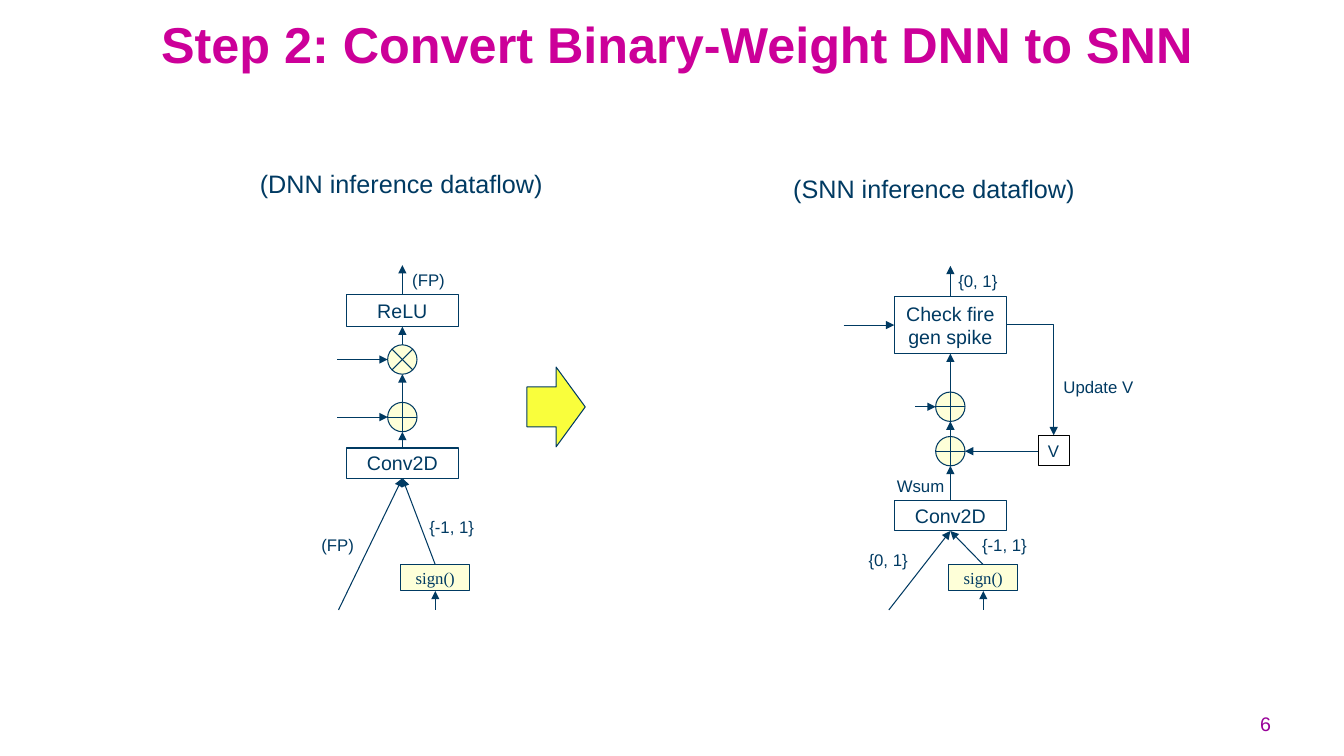
from lxml import etree
from pptx import Presentation
from pptx.dml.color import RGBColor
from pptx.enum.shapes import MSO_CONNECTOR, MSO_SHAPE
from pptx.enum.text import MSO_ANCHOR, MSO_AUTO_SIZE, PP_ALIGN
from pptx.oxml.ns import qn
from pptx.util import Cm, Pt

NAVY, WHITE, CREAM, YELLOW, BLACK = "003A62", "FFFFFF", "FEFFD8", "F9FE3C", "000000"
MAGENTA, PURPLE = "CC0099", "990099"

BLOCK_W, CONV_H = 2.83, 0.76
NODE_D = 0.74
SIGN_W, SIGN_H, SIGN_TOP, SIGN_OFFSET = 1.74, 0.66, 14.23, 0.83
INPUT_Y = 15.37


def color(hex_code):
    return RGBColor.from_string(hex_code)


def apply(target, formats):
    for name, value in formats.items():
        setattr(target, name, value)


def write(shape, text, size, font="Arial", ink=NAVY, bold=False, paragraph_format=None, **frame_format):
    frame = shape.text_frame
    apply(frame, frame_format)
    paragraph = frame.paragraphs[0]
    apply(paragraph, paragraph_format or {})
    run = paragraph.add_run()
    run.text = text
    apply(run.font, {"name": font, "size": Pt(size), "bold": bold})
    run.font.color.rgb = color(ink)


def outline(shape, ink=NAVY):
    shape.line.color.rgb = color(ink)
    shape.line.width = Pt(0.75)


def add_text(slide, box, text, size, **formats):
    textbox = slide.shapes.add_textbox(*map(Cm, box))
    write(textbox, text, size, **formats)
    return textbox


def add_label(slide, left, top, width, text, size=12, height=0.76):
    return add_text(slide, (left, top, width, height), text, size,
                    word_wrap=False, auto_size=MSO_AUTO_SIZE.SHAPE_TO_FIT_TEXT)


def add_symbol(slide, preset, box, fill):
    symbol = slide.shapes.add_shape(preset, *map(Cm, box))
    symbol.shadow.inherit = False
    symbol.fill.solid()
    symbol.fill.fore_color.rgb = color(fill)
    outline(symbol)
    return symbol


def add_block(slide, axis, top, width, height, text, size=14, font="Arial", fill=WHITE):
    """Draw a labelled rectangle centred on a vertical axis."""
    block = add_symbol(slide, MSO_SHAPE.RECTANGLE, (axis - width / 2, top, width, height), fill)
    write(block, text, size, font, paragraph_format={"alignment": PP_ALIGN.CENTER},
          word_wrap=True, vertical_anchor=MSO_ANCHOR.MIDDLE,
          margin_left=Cm(0.1), margin_right=Cm(0.1), margin_top=0, margin_bottom=0)


def add_node(slide, preset, axis, top):
    add_symbol(slide, preset, (axis - NODE_D / 2, top, NODE_D, NODE_D), CREAM)


def add_arrow(slide, x1, y1, x2, y2, kind=MSO_CONNECTOR.STRAIGHT):
    arrow = slide.shapes.add_connector(kind, *map(Cm, (x1, y1, x2, y2)))
    outline(arrow)
    properties = arrow.element.spPr
    etree.SubElement(properties.find(qn("a:ln")), qn("a:tailEnd"), type="triangle")
    etree.SubElement(properties, qn("a:effectLst"))
    return arrow


def add_corner_arrow(slide, x1, y1, x2, y2):
    """Draw an arrow that runs across and then turns down once."""
    arrow = add_arrow(slide, x1, y1, x2, y2, MSO_CONNECTOR.ELBOW)
    arrow.element.spPr.find(qn("a:prstGeom")).set("prst", "bentConnector2")


def add_rising_arrows(slide, axis, spans):
    for start, end in spans:
        add_arrow(slide, axis, start, axis, end)


def add_conv_stage(slide, axis, conv_top, activation_x):
    """Draw Conv2D with its activation input and its binarised weights."""
    conv_bottom = conv_top + CONV_H
    sign_axis = axis + SIGN_OFFSET
    add_arrow(slide, activation_x, INPUT_Y, axis, conv_bottom)
    add_arrow(slide, sign_axis, SIGN_TOP, axis, conv_bottom)
    add_arrow(slide, sign_axis, INPUT_Y, sign_axis, SIGN_TOP + SIGN_H)
    add_block(slide, axis, conv_top, BLOCK_W, CONV_H, "Conv2D")
    add_block(slide, sign_axis, SIGN_TOP, SIGN_W, SIGN_H, "sign()", 12, "Times New Roman", CREAM)


def add_dnn_dataflow(slide):
    axis, conv_top, bias_top, scale_top = 10.14, 11.29, 10.14, 8.69
    relu_top, relu_h = 7.41, 0.82
    node_left = axis - NODE_D / 2

    add_label(slide, 6.3, 4.11, 7.7, "(DNN inference dataflow)", 18, 1.02)
    add_conv_stage(slide, axis, conv_top, 8.53)
    add_rising_arrows(slide, axis, [
        (conv_top, bias_top + NODE_D), (bias_top, scale_top + NODE_D),
        (scale_top, relu_top + relu_h), (relu_top, 6.68)])
    add_block(slide, axis, relu_top, BLOCK_W, relu_h, "ReLU")
    for preset, top in ((MSO_SHAPE.FLOWCHART_SUMMING_JUNCTION, scale_top),
                        (MSO_SHAPE.FLOWCHART_OR, bias_top)):
        add_node(slide, preset, axis, top)
        add_arrow(slide, 8.5, top + NODE_D / 2, node_left, top + NODE_D / 2)
    for left, top, width, text in ((10.57, 12.9, 1.65, "{-1, 1}"),
                                   (7.85, 13.36, 1.35, "(FP)"),
                                   (10.14, 6.68, 1.35, "(FP)")):
        add_label(slide, left, top, width, text)


def add_snn_dataflow(slide):
    axis, conv_top, potential_top, bias_top = 23.95, 12.62, 11, 9.88
    fire_top, fire_h = 7.47, 1.44
    fire_left, fire_right = axis - BLOCK_W / 2, axis + BLOCK_W / 2
    fire_y = fire_top + fire_h / 2
    potential_y, bias_y = potential_top + NODE_D / 2, bias_top + NODE_D / 2
    v_left, v_top, v_w = 26.16, 10.97, 0.79

    add_label(slide, 19.74, 4.24, 7.67, "(SNN inference dataflow)", 18, 1.02)
    add_conv_stage(slide, axis, conv_top, 22.4)
    add_rising_arrows(slide, axis, [
        (conv_top, potential_top + NODE_D), (potential_top, bias_top + NODE_D),
        (bias_top, fire_top + fire_h), (fire_top, 6.7)])
    add_block(slide, axis, fire_top, BLOCK_W, fire_h, "Check fire gen spike")
    for top in (potential_top, bias_top):
        add_node(slide, MSO_SHAPE.FLOWCHART_OR, axis, top)
    add_arrow(slide, 21.26, fire_y, fire_left, fire_y)
    add_arrow(slide, 23.06, bias_y, axis - NODE_D / 2, bias_y)
    add_arrow(slide, v_left, potential_y, axis + NODE_D / 2, potential_y)
    add_corner_arrow(slide, fire_right, fire_y, v_left + v_w / 2, v_top)
    outline(add_label(slide, v_left, v_top, v_w, "V"), BLACK)
    for left, top, width, text in ((24.5, 13.36, 1.65, "{-1, 1}"),
                                   (21.64, 13.74, 1.5, "{0, 1}"),
                                   (22.35, 11.86, 1.73, "Wsum"),
                                   (26.55, 9.37, 2.28, "Update V"),
                                   (23.9, 6.7, 1.5, "{0, 1}")):
        add_label(slide, left, top, width, text)


def main():
    deck = Presentation()
    apply(deck, {"slide_width": Cm(33.87), "slide_height": Cm(19.05)})
    slide = deck.slides.add_slide(deck.slide_layouts[6])
    add_text(slide, (1.42, 0.43, 31.29, 1.57), "Step 2: Convert Binary-Weight DNN to SNN", 36,
             ink=MAGENTA, bold=True, word_wrap=True, vertical_anchor=MSO_ANCHOR.MIDDLE,
             paragraph_format={"alignment": PP_ALIGN.CENTER, "line_spacing": 0.87})
    add_dnn_dataflow(slide)
    add_snn_dataflow(slide)
    add_symbol(slide, MSO_SHAPE.RIGHT_ARROW, (13.28, 9.25, 1.47, 2.01), YELLOW)
    add_text(slide, (26.21, 17.91, 6.07, 1.14), "6", 14, ink=PURPLE, word_wrap=True,
             paragraph_format={"alignment": PP_ALIGN.RIGHT, "line_spacing": 0.85})
    deck.save("out.pptx")


if __name__ == "__main__":
    main()
